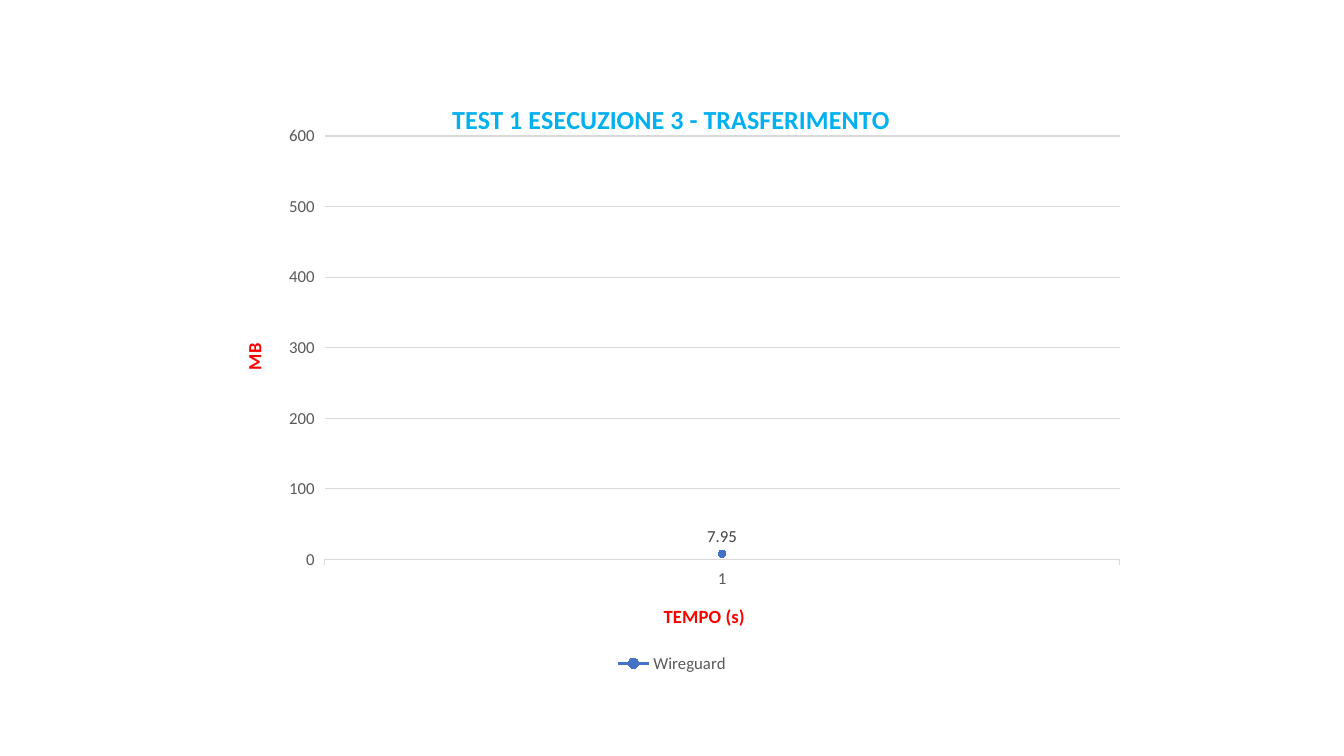
from lxml.etree import SubElement
from pptx import Presentation
from pptx.chart.data import CategoryChartData
from pptx.dml.color import RGBColor
from pptx.enum.chart import (
    XL_CHART_TYPE as ChartType,
    XL_LABEL_POSITION as LabelPosition,
    XL_LEGEND_POSITION as LegendPosition,
    XL_MARKER_STYLE as MarkerStyle,
    XL_TICK_MARK as TickMark,
)
from pptx.oxml.ns import qn
from pptx.util import Inches, Pt

COLORS = {
    "title": "00B0F0",
    "axis_title": "FF0000",
    "axis_text": "595959",
    "label": "404040",
    "grid": "D9D9D9",
    "series": "4472C4",
}
FONT = "Calibri"
CHART_WIDTH = Inches(8.89)
CHART_HEIGHT = Inches(5.93)


def set_values(target, values):
    """Set each attribute of the target from a dict."""
    for name, value in values.items():
        setattr(target, name, value)


def style_font(font, size, color, bold=False):
    """Give a font its face, size, weight and colour."""
    set_values(font, {"name": FONT, "size": Pt(size), "bold": bold})
    font.color.rgb = RGBColor.from_string(COLORS[color])


def style_line(line, color, width):
    """Give a line its colour and width."""
    line.color.rgb = RGBColor.from_string(COLORS[color])
    line.width = Pt(width)


def place(element, index, left, top, width=None, height=None):
    """Lay out a chart element by lengths from the chart's top left corner."""
    for old_layout in element.findall(qn("c:layout")):
        element.remove(old_layout)
    layout = SubElement(element, qn("c:layout"))
    manual = SubElement(layout, qn("c:manualLayout"))
    values = {"xMode": "edge", "yMode": "edge", "x": left / CHART_WIDTH, "y": top / CHART_HEIGHT}
    if width is not None:
        sizes = {"w": width / CHART_WIDTH, "h": height / CHART_HEIGHT}
        values = {"layoutTarget": "inner"} | values | sizes
    for name, value in values.items():
        SubElement(manual, qn(f"c:{name}")).set("val", str(value))
    element.insert(index, layout)


def add_title(title, text, size, color, left, top):
    """Write a bold title at a place in the chart."""
    title.text_frame.text = text
    style_font(title.text_frame.paragraphs[0].runs[0].font, size, color, True)
    place(title._element, 1, left, top)


def style_axis(axis, title, left, top, values):
    """Format an axis and its title."""
    set_values(axis, values)
    style_font(axis.tick_labels.font, 12, "axis_text")
    add_title(axis.axis_title, title, 13.3, "axis_title", left, top)


def style_series(series):
    """Format the line, its markers and its value labels."""
    series.smooth = False
    style_line(series.format.line, "series", 2.25)
    set_values(series.marker, {"style": MarkerStyle.CIRCLE, "size": 5})
    series.marker.format.fill.solid()
    series.marker.format.fill.fore_color.rgb = RGBColor.from_string(COLORS["series"])
    style_line(series.marker.format.line, "series", 0.75)
    labels = series.data_labels
    set_values(labels, {"show_value": True, "position": LabelPosition.ABOVE})
    style_font(labels.font, 12, "label")


def add_transfer_chart(slide):
    """Add the line chart of the transfer test."""
    data = CategoryChartData()
    data.categories = ["1"]
    data.add_series("Wireguard", [7.95])
    chart = slide.shapes.add_chart(
        ChartType.LINE_MARKERS,
        Inches(2.22), Inches(0.79), CHART_WIDTH, CHART_HEIGHT, data,
    ).chart
    set_values(chart.font, {"name": FONT, "size": Pt(10)})
    add_title(
        chart.chart_title, "TEST 1 ESECUZIONE 3 - TRASFERIMENTO",
        18.6, "title", Inches(2.22), Inches(0.17),
    )

    ticks = {"major_tick_mark": TickMark.OUTSIDE, "minor_tick_mark": TickMark.NONE}
    style_axis(chart.category_axis, "TEMPO (s)", Inches(4.33), Inches(5.16), ticks)
    style_line(chart.category_axis.format.line, "grid", 0.75)
    scale = {"minimum_scale": 0, "maximum_scale": 600, "major_unit": 100}
    style_axis(chart.value_axis, "MB", Inches(0.14), Inches(2.58), ticks | scale)
    chart.value_axis.format.line.fill.background()
    style_line(chart.value_axis.major_gridlines.format.line, "grid", 0.75)

    chart.has_legend = True
    set_values(chart.legend, {"position": LegendPosition.BOTTOM, "include_in_layout": False})
    style_font(chart.legend.font, 12, "axis_text")
    chart.plots[0].vary_by_categories = False
    style_series(chart.plots[0].series[0])
    plot_area = chart._chartSpace.chart.plotArea
    place(plot_area, 0, Inches(1), Inches(0.56), Inches(7.89), Inches(4.2))


def main():
    """Build the slide and save it."""
    presentation = Presentation()
    set_values(presentation, {"slide_width": Inches(13.33), "slide_height": Inches(7.5)})
    slide = presentation.slides.add_slide(presentation.slide_layouts[6])
    add_transfer_chart(slide)
    presentation.save("out.pptx")


if __name__ == "__main__":
    main()
